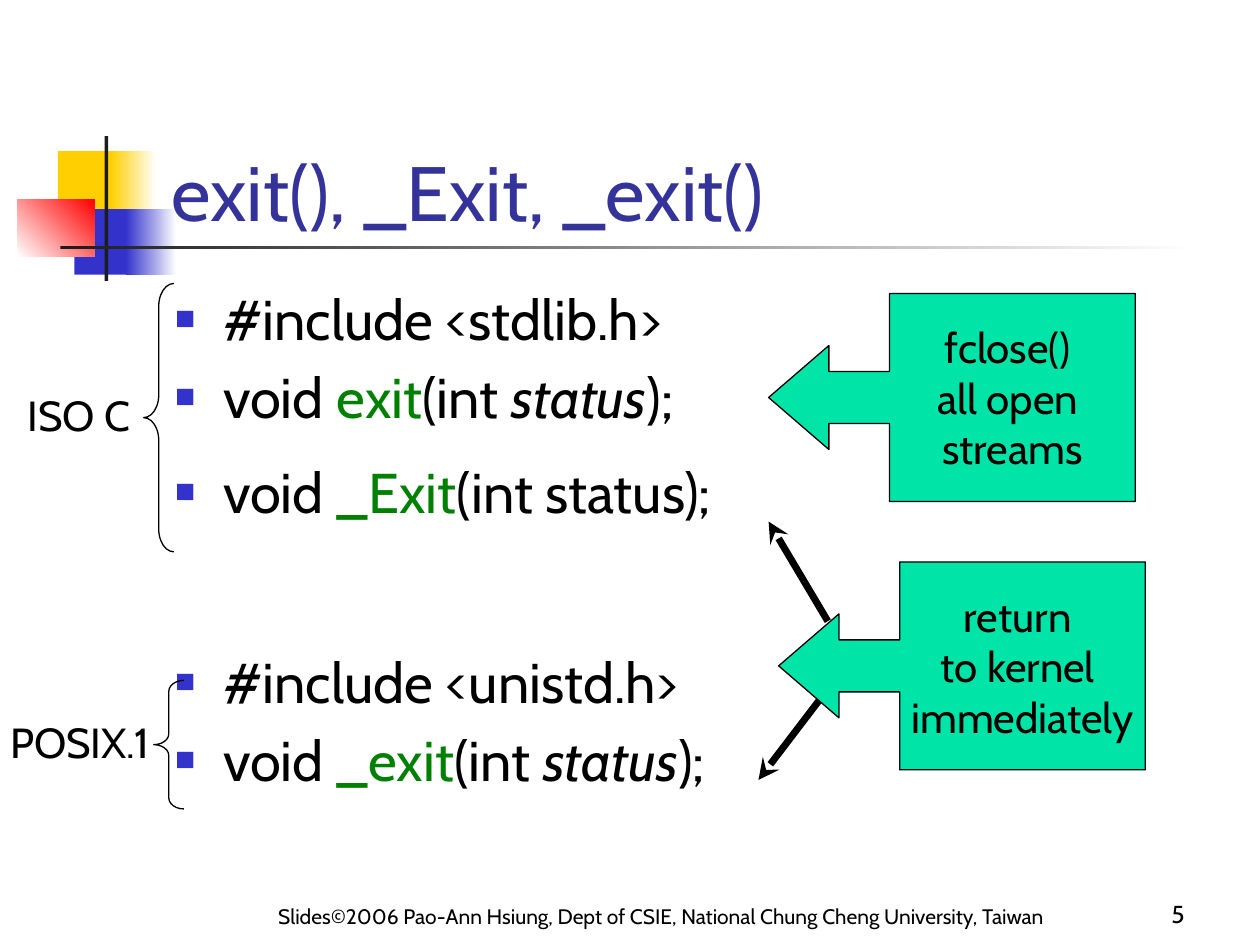
from lxml.etree import SubElement
from pptx import Presentation
from pptx.dml.color import RGBColor
from pptx.enum.shapes import MSO_CONNECTOR, MSO_SHAPE
from pptx.enum.text import MSO_ANCHOR, MSO_AUTO_SIZE, PP_ALIGN
from pptx.oxml.ns import qn
from pptx.util import Inches, Pt


def rgb(value):
    return RGBColor.from_string(value)


def style(p, size, color="000000", align=PP_ALIGN.LEFT):
    p.alignment = align
    for r in p.runs:
        r.font.name = "Cabin"
        r.font.size = Pt(size)
        r.font.color.rgb = rgb(color)


prs = Presentation()
prs.slide_width, prs.slide_height = Inches(10), Inches(7.5)
s = prs.slides.add_slide(prs.slide_layouts[1])
title, body = s.shapes.title, s.placeholders[1]

decorations = [
    (0.46, 1.2, 0.48, 0.52, ["FFCF01"], 0),
    (0.88, 1.2, 0.36, 0.52, ["FFCF01", "FFFFFF"], 0),
    (0.59, 1.66, 0.46, 0.52, ["3333CC"], 0),
    (1, 1.66, 0.4, 0.52, ["3333CC", "FFFFFF"], 0),
    (0.14, 1.58, 0.61, 0.46, ["FFFFFF", "FF0000"], 45),
    (0.83, 1.08, 0.03, 1.15, ["1C1C1C"], 0),
    (0.48, 1.95, 9, 0.03, ["1C1C1C", "FFFFFF"], 0),
]
for x, y, w, h, colors, angle in decorations:
    sp = s.shapes.add_shape(MSO_SHAPE.RECTANGLE, Inches(x), Inches(y), Inches(w), Inches(h))
    sp.shadow.inherit = False
    sp.line.fill.background()
    if len(colors) == 1:
        sp.fill.solid()
        sp.fill.fore_color.rgb = rgb(colors[0])
    else:
        sp.fill.gradient()
        sp.fill.gradient_angle = angle
        for stop, color in zip(sp.fill.gradient_stops, colors):
            stop.color.rgb = rgb(color)

tree = title._element.getparent()
tree.append(title._element)
tree.append(body._element)

title.left, title.top, title.width, title.height = Inches(1.26), Inches(0.68), Inches(8.52), Inches(1.25)
tf = title.text_frame
tf.text = "exit(), _Exit, _exit()"
tf.auto_size = MSO_AUTO_SIZE.NONE
tf.vertical_anchor = MSO_ANCHOR.BOTTOM
style(tf.paragraphs[0], 44, "333399")

body.left, body.top, body.width, body.height = Inches(1.29), Inches(2.21), Inches(8.5), Inches(4.5)
tf = body.text_frame
tf.auto_size = MSO_AUTO_SIZE.NONE
declarations = [
    (6, ["#include <stdlib.h>"]),
    (6, ["void ", "exit", "(int ", "status", ");"]),
    (16, ["void ", "_Exit", "(int status);"]),
    (70, ["#include <unistd.h>"]),
    (6, ["void ", "_exit", "(int ", "status", ");"]),
]
for i, (space, parts) in enumerate(declarations):
    p = tf.paragraphs[0] if i == 0 else tf.add_paragraph()
    for part in parts:
        p.add_run().text = part
    style(p, 32)
    p.space_before = Pt(space)
    for r in p.runs:
        if r.text in ("exit", "_Exit", "_exit"):
            r.font.color.rgb = rgb("008000")
        r.font.italic = r.text == "status"
    pPr = p._p.get_or_add_pPr()
    pPr.set("marL", str(Inches(0.38)))
    pPr.set("indent", str(-Inches(0.38)))
    SubElement(SubElement(pPr, qn("a:buClr")), qn("a:srgbClr"), val="3333CC")
    SubElement(pPr, qn("a:buSzPct"), val="60000")
    SubElement(pPr, qn("a:buChar"), char="■")

arrows = [(6.57, 4.93, 6.1, 4.14), (6.5, 5.56, 6.02, 6.19)]
callouts = [
    (6.1, 2.33, "fclose() \nall open \nstreams"),
    (6.18, 4.46, "return \nto kernel \nimmediately"),
]
for x, y, text in callouts:
    sp = s.shapes.add_shape(MSO_SHAPE.LEFT_ARROW_CALLOUT, Inches(x), Inches(y), Inches(2.91), Inches(1.65))
    sp.shadow.inherit = False
    for i, value in enumerate([0.25, 0.25, 0.29, 0.67]):
        sp.adjustments[i] = value
    sp.fill.solid()
    sp.fill.fore_color.rgb = rgb("00E4A8")
    sp.line.color.rgb = rgb("000000")
    sp.line.width = Pt(0.75)
    tf = sp.text_frame
    tf.word_wrap = False
    tf.vertical_anchor = MSO_ANCHOR.MIDDLE
    tf.paragraphs[0].text = text
    style(tf.paragraphs[0], 24, align=PP_ALIGN.CENTER)

for x1, y1, x2, y2 in arrows:
    line = s.shapes.add_connector(MSO_CONNECTOR.STRAIGHT, Inches(x1), Inches(y1), Inches(x2), Inches(y2))
    line.line.color.rgb = rgb("000000")
    line.line.width = Pt(4)
    SubElement(line.line._get_or_add_ln(), qn("a:tailEnd"), type="stealth")
    SubElement(line._element.spPr, qn("a:effectLst"))

for x, y, h, curve in [(1.14, 2.25, 2.13, 0.75), (1.22, 5.4, 1.02, 0.36)]:
    sp = s.shapes.add_shape(MSO_SHAPE.LEFT_BRACE, Inches(x), Inches(y), Inches(0.24), Inches(h))
    sp.shadow.inherit = False
    sp.adjustments[0] = curve
    sp.fill.background()
    sp.line.color.rgb = rgb("000000")
    sp.line.width = Pt(0.75)

labels = [
    (0.12, 3.04, 1.1, "ISO C", 24, PP_ALIGN.LEFT, MSO_ANCHOR.TOP, 0.1),
    (0, 5.64, 1.46, "POSIX.1", 24, PP_ALIGN.LEFT, MSO_ANCHOR.TOP, 0.08),
    (1.77, 6.92, 6.96, "Slides©2006 Pao-Ann Hsiung, Dept of CSIE, National Chung Cheng University, Taiwan",
     12, PP_ALIGN.CENTER, MSO_ANCHOR.BOTTOM, 0.1),
    (7.42, 6.92, 2.08, "5", 14, PP_ALIGN.RIGHT, MSO_ANCHOR.BOTTOM, 0.1),
]
for x, y, w, text, size, align, anchor, inset in labels:
    tf = s.shapes.add_textbox(Inches(x), Inches(y), Inches(w), Inches(0.5)).text_frame
    tf.word_wrap = True
    tf.vertical_anchor = anchor
    tf.margin_left = Inches(inset)
    tf.text = text
    style(tf.paragraphs[0], size, align=align)

prs.save("out.pptx")
